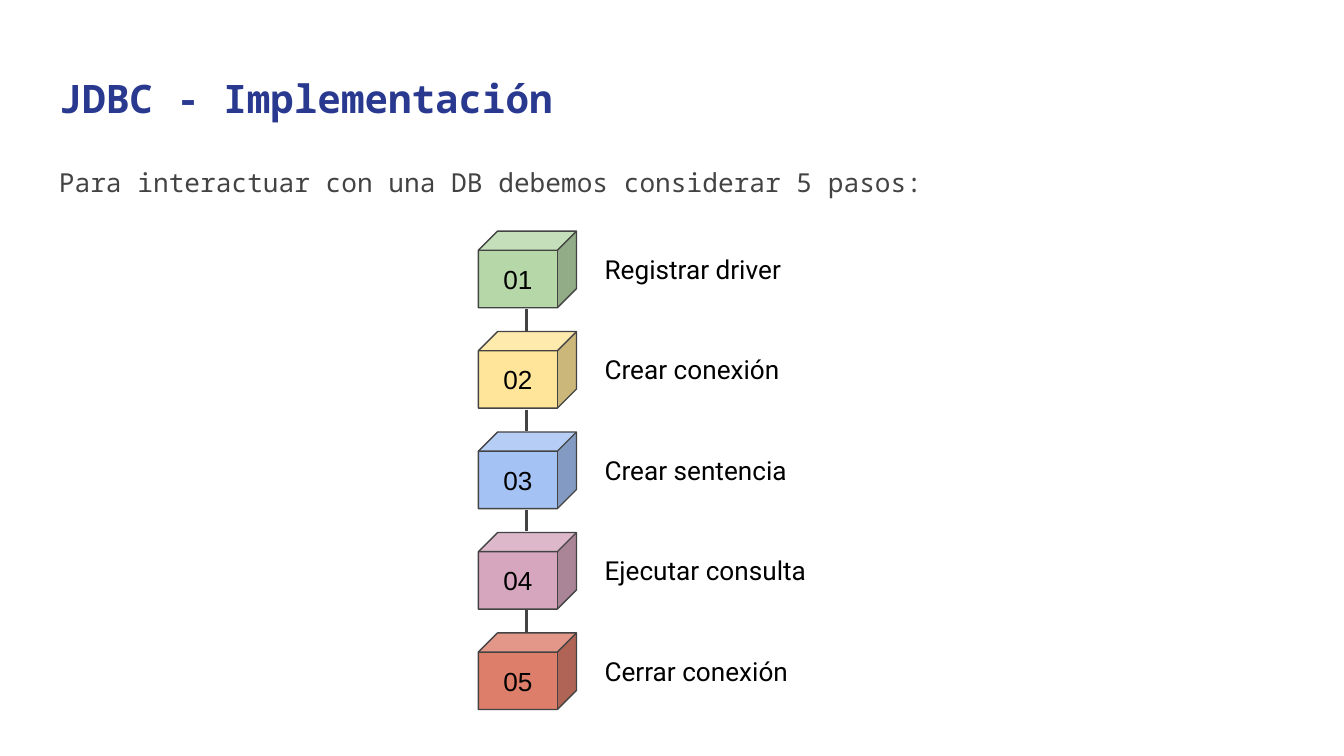
from pptx import Presentation, util as u
from pptx.dml.color import RGBColor
from pptx.enum import shapes, text
from pptx.oxml.ns import qn
from lxml import etree

# Content: label, label width, cube colour
TITLE = "JDBC - Implementación"
INTRO = "Para interactuar con una DB debemos considerar 5 pasos:"
STEPS = [
    ("Registrar driver", 1.52, "B6D7A8"),
    ("Crear conexión", 1.52, "FFE599"),
    ("Crear sentencia", 1.8, "A4C2F4"),
    ("Ejecutar consulta", 1.88, "D5A6BD"),
    ("Cerrar conexión", 1.74, "DD7E6B"),
]
THEME = dict(title="2A3990", grey="434343", black="000000",
             mono="Noto Sans Mono", label="Roboto", number="Arial",
             title_size=21, size=14)

# Layout: a 16:9 slide with one column of steps
SLIDE_W = 10
SLIDE_H = SLIDE_W * 9 / 16
LEFT, FIRST, LAST = 3.56, 1.72, 4.71
CUBE_W, CUBE_H = 0.73, 0.57
PITCH = (LAST - FIRST) / (len(STEPS) - 1)
LABEL_X, LABEL_H = 4.4, 0.44
LINK_X, LINK_H, LINK_GAP = 3.92, 0.16, 0.01


def rgb(name):
    return RGBColor.from_string(THEME.get(name, name))


def write(sp, words, font="mono", size="size", color="black", bold=False,
          align=text.PP_ALIGN.LEFT, anchor=text.MSO_ANCHOR.TOP, spacing=None):
    tf = sp.text_frame
    tf.word_wrap = True
    tf.vertical_anchor = anchor
    tf.margin_left = tf.margin_right = u.Inches(0.1)
    tf.margin_top = tf.margin_bottom = u.Inches(0.1)
    p = tf.paragraphs[0]
    p.alignment = align
    if spacing:
        p.line_spacing = spacing
    r = p.add_run()
    r.text = words
    r.font.name = THEME[font]
    r.font.size = u.Pt(THEME[size])
    r.font.bold = bold
    r.font.color.rgb = rgb(color)
    return tf


def box(s, x, y, w, h):
    return s.shapes.add_textbox(*map(u.Inches, (x, y, w, h)))


def cube(s, y, number, color):
    sp = s.shapes.add_shape(shapes.MSO_SHAPE.CUBE,
                            *map(u.Inches, (LEFT, y, CUBE_W, CUBE_H)))
    sp.adjustments[0] = 0.25
    sp.shadow.inherit = False
    sp.fill.solid()
    sp.fill.fore_color.rgb = rgb(color)
    sp.line.color.rgb = rgb("grey")
    sp.line.width = u.Pt(0.75)
    write(sp, number, font="number", align=text.PP_ALIGN.CENTER,
          anchor=text.MSO_ANCHOR.MIDDLE)


def link(s, y):
    cx = s.shapes.add_connector(shapes.MSO_CONNECTOR.STRAIGHT,
                                *map(u.Inches, (LINK_X, y, LINK_X, y + LINK_H)))
    cx.line.color.rgb = rgb("grey")
    cx.line.width = u.Pt(1.5)
    etree.SubElement(cx._element.spPr, qn("a:effectLst"))


def main():
    prs = Presentation()
    prs.slide_width, prs.slide_height = u.Inches(SLIDE_W), u.Inches(SLIDE_H)
    s = prs.slides.add_slide(prs.slide_layouts[6])

    # Heading and introduction
    write(box(s, 0.34, 0.45, 7.82, 0.66), TITLE,
          size="title_size", color="title", bold=True)
    write(box(s, 0.34, 1.1, 9.32, 0.37), INTRO, color="grey", spacing=1.15)

    # Numbered cubes, their labels and the links between them
    for i, (label, width, color) in enumerate(STEPS):
        y = FIRST + i * PITCH
        cube(s, y, f"{i + 1:02}", color)
        tf = write(box(s, LABEL_X, y + (CUBE_H - LABEL_H) / 2, width, LABEL_H),
                   label, font="label")
        tf.auto_size = text.MSO_AUTO_SIZE.SHAPE_TO_FIT_TEXT
        if i < len(STEPS) - 1:
            link(s, y + CUBE_H + LINK_GAP)

    prs.save("out.pptx")


if __name__ == "__main__":
    main()
